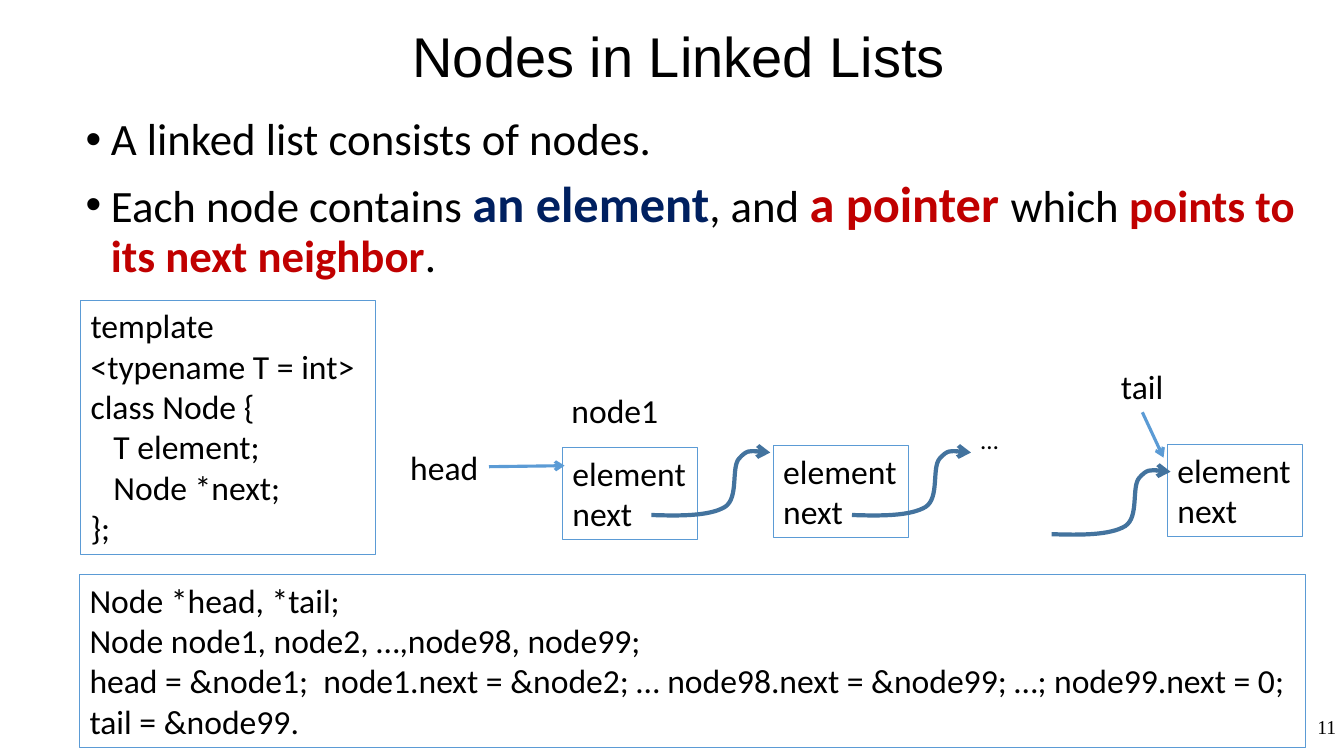
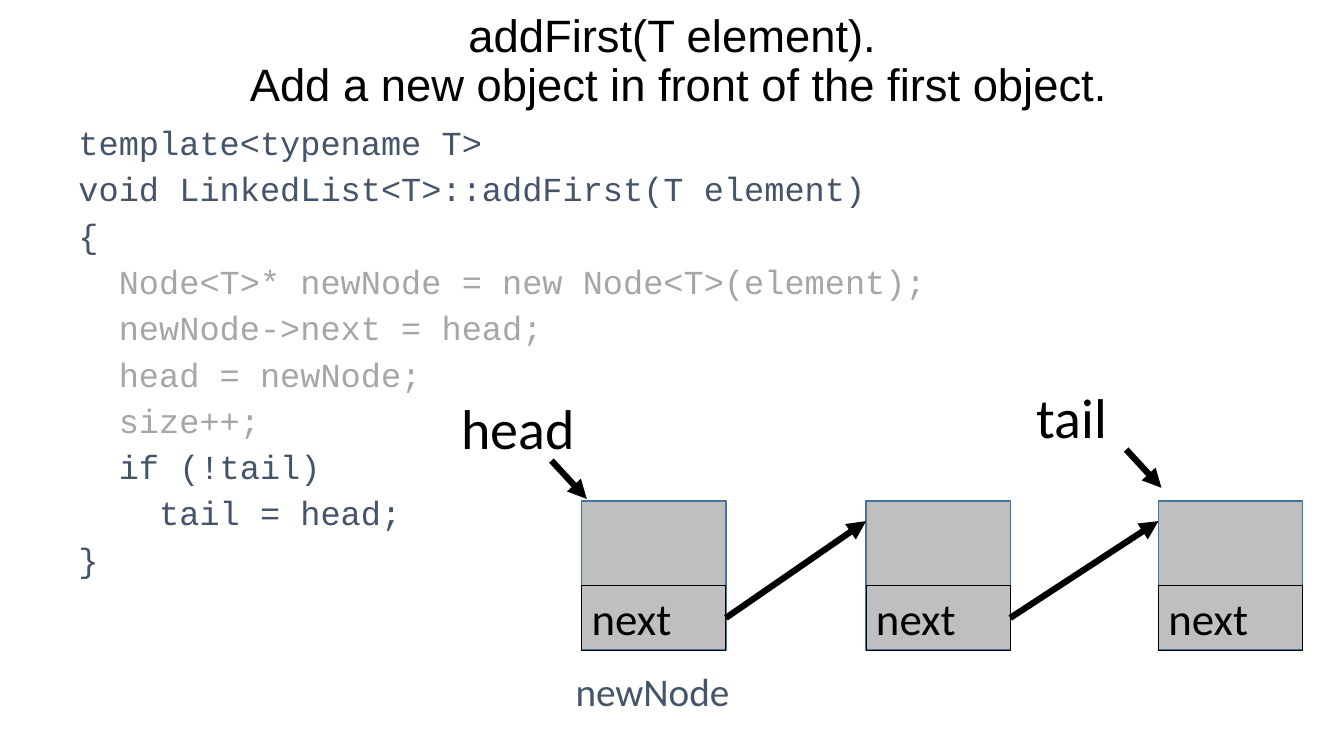
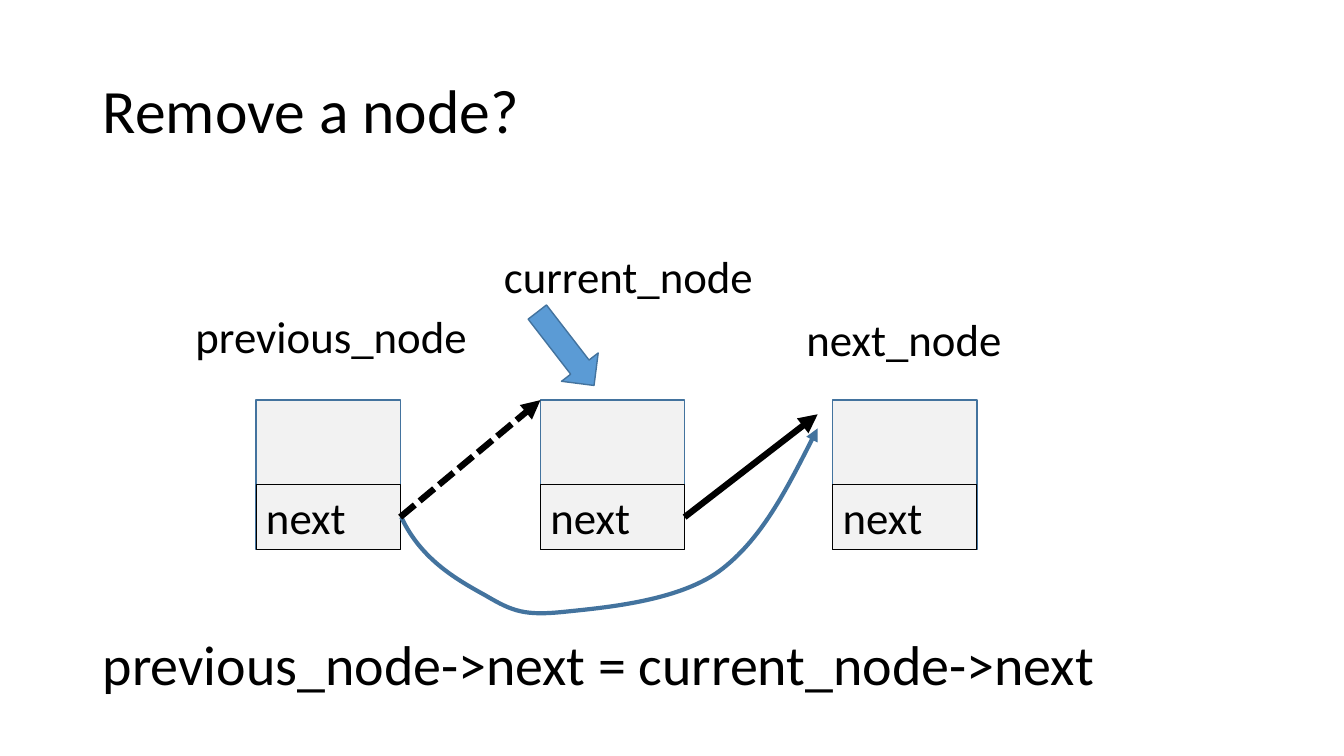
import pptx
import pptx.dml.color
import pptx.enum.dml
import pptx.enum.shapes
import pptx.enum.text
import pptx.oxml
import pptx.oxml.ns
import pptx.util

COLORS = {
    "black": "000000",
    "blue": "5B9BD5",
    "steel": "43739E",
    "slate": "44546A",
    "navy": "002060",
    "red": "C00000",
    "fade": "A6A6A6",
    "gray": "BFBFBF",
    "pale": "F2F2F2",
}
TITLE_ONLY, TITLE_BODY = 5, 1
LEFT = pptx.enum.text.PP_ALIGN.LEFT
CENTER = pptx.enum.text.PP_ALIGN.CENTER
NODE_WIDE, NODE_HIGH, NEXT_HIGH = 1.43, 1.48, 0.64
MID_LINK = NODE_HIGH - NEXT_HIGH / 2
WIRE = [(0, 0), (0.29, 0.01), (0.58, 0.01), (0.73, -0.08), (0.87, -0.17),
        (0.79, -0.47), (0.87, -0.56), (0.95, -0.65), (1.07, -0.64), (1.18, -0.62)]


def inch(values):
    return [pptx.util.Inches(value) for value in values]


def color(name):
    return pptx.dml.color.RGBColor.from_string(COLORS[name])


def assign(target, values):
    for name, value in values.items():
        setattr(target, name, value)


def write(frame, lines, size, font="Calibri", ink="black", gap=0, **layout):
    """Fill a frame; a line is a string or a list of (text, format) runs."""
    for index, line in enumerate(lines):
        para = frame.add_paragraph() if index else frame.paragraphs[0]
        assign(para, {"space_before": pptx.util.Pt(gap if index else 0), **layout})
        for text, own in [(line, {})] if isinstance(line, str) else line:
            look = {"size": size, "name": font, "bold": False, "ink": ink, **own}
            run = para.add_run()
            run.text = text
            run.font.color.rgb = color(look.pop("ink"))
            look["size"] = pptx.util.Pt(look["size"])
            assign(run.font, look)


def stroke(line, ink, width):
    line.color.rgb = color(ink)
    line.width = pptx.util.Pt(width)


def point(shape, head):
    """Put an arrowhead at the end of a line that is already styled."""
    tip = pptx.oxml.parse_xml(
        f'<a:tailEnd {pptx.oxml.ns.nsdecls("a")} type="{head}"/>')
    shape.line._get_or_add_ln().append(tip)


def label(slide, at, lines, size, edge=None, wrap=False, **look):
    box = slide.shapes.add_textbox(*inch(at))
    assign(box.text_frame, {
        "word_wrap": wrap,
        "auto_size": pptx.enum.text.MSO_AUTO_SIZE.SHAPE_TO_FIT_TEXT,
    })
    if edge:
        stroke(box.line, edge, 0.75)
    write(box.text_frame, lines, size, **look)


def block(slide, kind, at, fill, turn=0):
    shape = slide.shapes.add_shape(kind, *inch(at))
    shape.shadow.inherit = False
    shape.fill.solid()
    shape.fill.fore_color.rgb = color(fill)
    stroke(shape.line, "steel", 1)
    shape.rotation = turn


def arrow(slide, start, end, ink="black", width=4.5, head="triangle", dash=None):
    line = slide.shapes.add_connector(
        pptx.enum.shapes.MSO_CONNECTOR.STRAIGHT, *inch(start + end))
    stroke(line.line, ink, width)
    if dash:
        line.line.dash_style = dash
    point(line, head)
    line._element.spPr.append(
        pptx.oxml.parse_xml(f'<a:effectLst {pptx.oxml.ns.nsdecls("a")}/>'))


def curve(slide, points, head):
    """Draw a cubic path: a start, then two handles and an end per part."""
    start, *rest = [inch(pair) for pair in points]
    maker = slide.shapes.build_freeform(*start, scale=1.0)
    maker.add_line_segments(rest, close=False)
    shape = maker.convert_to_shape()
    shape.shadow.inherit = False
    shape.fill.background()
    stroke(shape.line, "steel", 3)
    point(shape, head)

    qname = pptx.oxml.ns.qn
    path = shape._element.find(".//" + qname("a:path"))
    parts = path.findall(qname("a:lnTo"))
    for index in range(0, len(parts), 3):
        bend = pptx.oxml.parse_xml(f'<a:cubicBezTo {pptx.oxml.ns.nsdecls("a")}/>')
        for part in parts[index:index + 3]:
            bend.append(part[0])
            path.remove(part)
        path.append(bend)


def place(holder, at, anchor):
    assign(holder, dict(zip(("left", "top", "width", "height"), inch(at))))
    assign(holder.text_frame, {
        "word_wrap": True,
        "auto_size": pptx.enum.text.MSO_AUTO_SIZE.NONE,
        "vertical_anchor": anchor,
    })


def start(deck, layout, at, lines, size, font="Arial", align=CENTER):
    """Add a slide with its title."""
    slide = deck.slides.add_slide(deck.slide_layouts[layout])
    place(slide.shapes.title, at, pptx.enum.text.MSO_ANCHOR.MIDDLE)
    write(slide.shapes.title.text_frame, lines, size, font,
          alignment=align, line_spacing=0.9)
    return slide


def bullets(slide, at, lines, size):
    body = slide.placeholders[1]
    place(body, at, pptx.enum.text.MSO_ANCHOR.TOP)
    write(body.text_frame, lines, size, gap=10, line_spacing=0.9, alignment=LEFT)
    for para in body.text_frame.paragraphs:
        props = para._p.get_or_add_pPr()
        props.set("marL", str(pptx.util.Inches(0.25)))
        props.set("indent", str(pptx.util.Inches(-0.25)))


def nodes(slide, lefts, top, fill):
    for left in lefts:
        block(slide, pptx.enum.shapes.MSO_SHAPE.RECTANGLE,
              (left, top, NODE_WIDE, NODE_HIGH), fill)
        label(slide, (left, top + NODE_HIGH - NEXT_HIGH, NODE_WIDE, NEXT_HIGH),
              ["next"], 32, edge="black", wrap=True)


def list_slide(deck):
    slide = start(deck, TITLE_BODY, (0.79, 0.3, 11.88, 0.58),
                  ["Nodes in Linked Lists"], 40)
    bullets(slide, (0.75, 1.11, 12.24, 1.89), [
        "A linked list consists of nodes.",
        [("Each node contains ", {}),
         ("an element", {"size": 36, "ink": "navy", "bold": True}),
         (", and ", {}),
         ("a pointer ", {"size": 36, "ink": "red", "bold": True}),
         ("which ", {}),
         ("points to its next neighbor", {"ink": "red", "bold": True}),
         (".", {})],
    ], 32)
    label(slide, (0.8, 2.98, 2.92, 2.52), [
        "template", "<typename T = int>", "class Node {",
        "   T element;", "   Node *next;", "};",
    ], 24, edge="blue")
    label(slide, (0.79, 5.7, 12.16, 1.72), [
        "Node *head, *tail;",
        "Node node1, node2, …,node98, node99;",
        "head = &node1;  node1.next = &node2; … node98.next = &node99; …; node99.next = 0;",
        "tail = &node99.",
    ], 24, edge="blue")
    for left, top in [(5.58, 4.44), (7.67, 4.42), (11.58, 4.41)]:
        label(slide, (left, top, 1.34, 0.91), ["element", "next"], 24, edge="blue")
    for text, left, top, width in [("node1", 5.57, 3.82, 1.07),
                                   ("head", 3.97, 4.38, 0.89),
                                   ("tail", 11.02, 3.58, 0.63)]:
        label(slide, (left, top, width, 0.5), [text], 24)
    label(slide, (9.63, 4.16, 0.38, 0.4), ["…"], 18)
    for left, top in [(6.46, 5.11), (8.45, 5.11), (10.43, 5.3)]:
        curve(slide, [(left + x, top + y) for x, y in WIRE], "arrow")
    for tail, tip in [((4.85, 4.63), (5.6, 4.62)), ((11.33, 4.09), (11.54, 4.54))]:
        arrow(slide, tail, tip, "blue", 2.25, "arrow")
    label(slide, (12.96, 7.04, 0.4, 0.4), ["11"], 14,
          font="Times New Roman", alignment=CENTER)


def add_slide(deck):
    slide = start(deck, TITLE_ONLY, (0.38, 0.18, 12.7, 0.88), [
        "addFirst(T element). ",
        "Add a new object in front of the first object.",
    ], 32.4)
    faded = [
        "  Node<T>* newNode = new Node<T>(element);",
        "  newNode->next = head;",
        "  head = newNode;",
        "  size++;",
    ]
    label(slide, (0.68, 1.24, 9.69, 5.56), [
        "template<typename T>",
        "void LinkedList<T>::addFirst(T element)",
        "{",
        *([(line, {"ink": "fade"})] for line in faded),
        "  if (!tail)",
        "    tail = head;",
        "}",
    ], 24, wrap=True, font="Courier New", ink="slate", gap=10, line_spacing=0.8)
    lefts, top = [5.77, 8.59, 11.49], 4.97
    nodes(slide, lefts, top, "gray")
    for left, right in zip(lefts, lefts[1:]):
        arrow(slide, (left + NODE_WIDE, top + MID_LINK), (right, top + 0.2))
    label(slide, (4.48, 3.86, 1.34, 0.77), ["head"], 40)
    label(slide, (10.18, 3.75, 0.91, 0.77), ["tail"], 40)
    label(slide, (5.61, 6.57, 1.74, 0.57), ["newNode"], 28, ink="slate")
    for x, y in [(5.47, 4.57), (11.17, 4.46)]:
        arrow(slide, (x, y), (x + 0.35, y + 0.38))


def remove_slide(deck):
    slide = start(deck, TITLE_ONLY, (0.92, 0.4, 11.5, 1.45),
                  ["Remove a node?"], 44, "Calibri", LEFT)
    lefts, top = [2.54, 5.36, 8.26], 3.97
    nodes(slide, lefts, top, "pale")
    first, second = [(left + NODE_WIDE, top + MID_LINK) for left in lefts[:2]]
    arrow(slide, second, (8.11, 4.11))
    curve(slide, [(3.98, 5.13), (4.18, 5.56), (4.55, 5.76), (4.82, 5.91),
                  (5.09, 6.07), (5.21, 6.11), (5.6, 6.07), (5.98, 6.03),
                  (6.71, 5.97), (7.13, 5.67), (7.55, 5.36), (7.83, 4.8),
                  (8.11, 4.25)], "triangle")
    for text, left, high, width in [("previous_node", 1.84, 3.01, 2.92),
                                    ("next_node", 7.9, 3.04, 2.16),
                                    ("current_node", 4.9, 2.42, 2.7)]:
        label(slide, (left, high, width, 0.64), [text], 32)
    label(slide, (0.92, 6.2, 11.31, 0.77),
          ["previous_node->next = current_node->next"], 40, wrap=True)
    arrow(slide, first, (lefts[1], top), dash=pptx.enum.dml.MSO_LINE.SQUARE_DOT)
    block(slide, pptx.enum.shapes.MSO_SHAPE.RIGHT_ARROW,
          (5.15, 3.23, 0.92, 0.46), "blue", 52.3)


def main():
    deck = pptx.Presentation()
    deck.slide_width, deck.slide_height = inch((13.33, 7.5))
    list_slide(deck)
    add_slide(deck)
    remove_slide(deck)
    deck.save("out.pptx")


if __name__ == "__main__":
    main()
